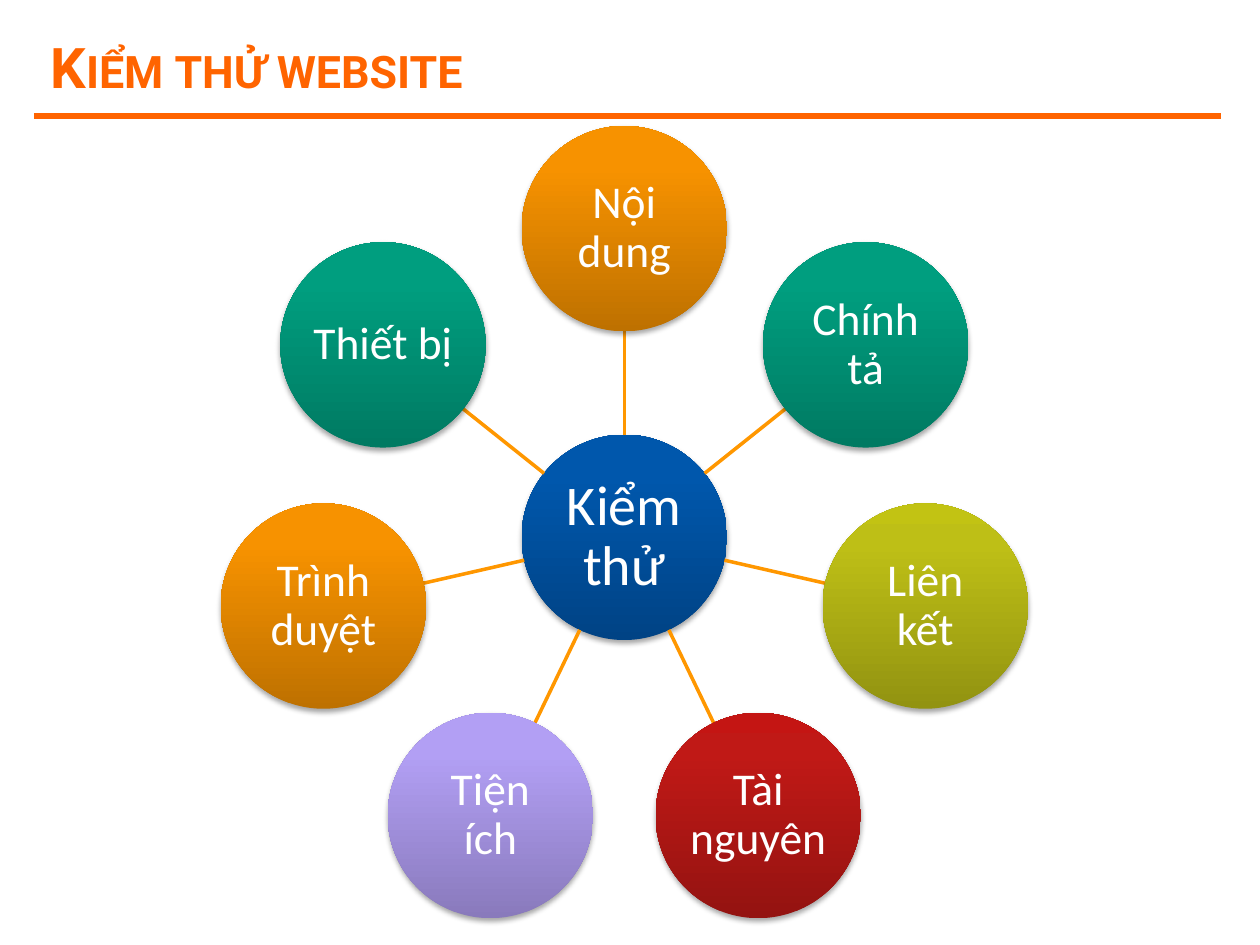
from copy import deepcopy
from math import cos, pi, sin

from lxml.etree import SubElement
from pptx import Presentation
from pptx.dml.color import RGBColor
from pptx.enum.shapes import MSO_CONNECTOR, MSO_SHAPE
from pptx.enum.text import MSO_ANCHOR, PP_ALIGN
from pptx.oxml.ns import qn
from pptx.util import Inches, Pt

WIDTH, HEIGHT = 10, 7.5
MARGIN, TITLE_WIDTH = 0.27, 9.42
HUB_X, HUB_Y = 4.955, 4.265
RING_RADIUS = 2.45
CIRCLE_RADIUS = 0.815

WHITE = RGBColor(0xFF, 0xFF, 0xFF)
TITLE_ORANGE = RGBColor(0xFF, 0x64, 0x00)
SPOKE_ORANGE = RGBColor(0xFF, 0x97, 0x00)

# Gradient colours from the bottom of a circle to its top
STOP_POSITIONS = (0, 0.8, 1)
BLUE = (RGBColor(0x00, 0x43, 0x85), RGBColor(0x00, 0x57, 0xAC), RGBColor(0x00, 0x58, 0xAD))
ORANGE = (RGBColor(0xBE, 0x71, 0x00), RGBColor(0xF7, 0x92, 0x00), RGBColor(0xF8, 0x93, 0x00))
GREEN = (RGBColor(0x00, 0x7A, 0x62), RGBColor(0x00, 0x9E, 0x7F), RGBColor(0x00, 0x9F, 0x80))
OLIVE = (RGBColor(0x92, 0x93, 0x11), RGBColor(0xBE, 0xBF, 0x16), RGBColor(0xC2, 0xC3, 0x13))
RED = (RGBColor(0x94, 0x13, 0x11), RGBColor(0xC0, 0x19, 0x16), RGBColor(0xC4, 0x15, 0x13))
VIOLET = (RGBColor(0x89, 0x7A, 0xBC), RGBColor(0xB2, 0x9F, 0xF4), RGBColor(0xB2, 0x9E, 0xF7))

# Clockwise from the top
TOPICS = (
    ("Nội dung", ORANGE),
    ("Chính tả", GREEN),
    ("Liên kết", OLIVE),
    ("Tài nguyên", RED),
    ("Tiện ích", VIOLET),
    ("Trình duyệt", ORANGE),
    ("Thiết bị", GREEN),
)


def format_span(span, font, size, color):
    span.font.name = font
    span.font.size = Pt(size)
    span.font.color.rgb = color


def set_insets(frame, across, down):
    frame.margin_left = frame.margin_right = Inches(across)
    frame.margin_top = frame.margin_bottom = Inches(down)


def add_title(page, text):
    title = page.shapes.title
    title.left, title.top = Inches(MARGIN), Inches(0.19)
    title.width, title.height = Inches(TITLE_WIDTH), Inches(0.67)
    frame = title.text_frame
    frame.text = text
    frame.vertical_anchor = MSO_ANCHOR.MIDDLE
    set_insets(frame, 0.13, 0.07)
    para = frame.paragraphs[0]
    para.alignment = PP_ALIGN.LEFT
    span = para.runs[0]
    format_span(span, "Roboto", 32, TITLE_ORANGE)
    span.font.bold = True
    span.font._element.set("cap", "small")


def add_line(page, start, end, color, weight):
    points = [Inches(value) for value in (*start, *end)]
    line = page.shapes.add_connector(MSO_CONNECTOR.STRAIGHT, *points)
    line.line.color.rgb = color
    line.line.width = Pt(weight)
    SubElement(line._element.spPr, qn("a:effectLst"))


def fill_gradient(shape, colors):
    shape.fill.gradient()
    shape.fill.gradient_angle = 90
    stop_list = shape._element.spPr.find(".//" + qn("a:gsLst"))
    stop_list.append(deepcopy(stop_list[-1]))
    for stop, position, color in zip(shape.fill.gradient_stops, STOP_POSITIONS, colors):
        stop.position = position
        stop.color.rgb = color


def add_soft_shadow(shape):
    shape.shadow.inherit = False
    effects = shape._element.spPr.find(qn("a:effectLst"))
    shadow = SubElement(effects, qn("a:outerShdw"), blurRad=str(Pt(3.1)),
                        dist=str(Pt(1.8)), dir="5400000", rotWithShape="0")
    black = SubElement(shadow, qn("a:srgbClr"), val="000000")
    SubElement(black, qn("a:alpha"), val="35000")


def add_circle(page, center, text, colors, size):
    left, top = (Inches(value - CIRCLE_RADIUS) for value in center)
    diameter = Inches(2 * CIRCLE_RADIUS)
    circle = page.shapes.add_shape(MSO_SHAPE.OVAL, left, top, diameter, diameter)
    fill_gradient(circle, colors)
    circle.line.fill.background()
    add_soft_shadow(circle)
    frame = circle.text_frame
    frame.text = text
    frame.word_wrap = True
    frame.vertical_anchor = MSO_ANCHOR.MIDDLE
    set_insets(frame, 0.02, 0.02)
    para = frame.paragraphs[0]
    para.alignment = PP_ALIGN.CENTER
    para.line_spacing = 0.9
    format_span(para.runs[0], "Calibri", size, WHITE)


def point_at(angle, radius):
    """Point at a clockwise angle from the top of the hub."""
    return HUB_X + radius * sin(angle), HUB_Y - radius * cos(angle)


def add_wheel(page):
    add_circle(page, (HUB_X, HUB_Y), "Kiểm thử", BLUE, 32)
    for index, (text, colors) in enumerate(TOPICS):
        angle = 2 * pi * index / len(TOPICS)
        add_line(page, point_at(angle, CIRCLE_RADIUS),
                 point_at(angle, RING_RADIUS - CIRCLE_RADIUS), SPOKE_ORANGE, 2)
        add_circle(page, point_at(angle, RING_RADIUS), text, colors, 26)


def main():
    deck = Presentation()
    deck.slide_width, deck.slide_height = Inches(WIDTH), Inches(HEIGHT)
    page = deck.slides.add_slide(deck.slide_layouts.get_by_name("Title Only"))
    add_line(page, (MARGIN, 0.92), (MARGIN + TITLE_WIDTH, 0.92), TITLE_ORANGE, 3)
    add_title(page, "Kiểm thử website")
    add_wheel(page)
    deck.save("out.pptx")


if __name__ == "__main__":
    main()
